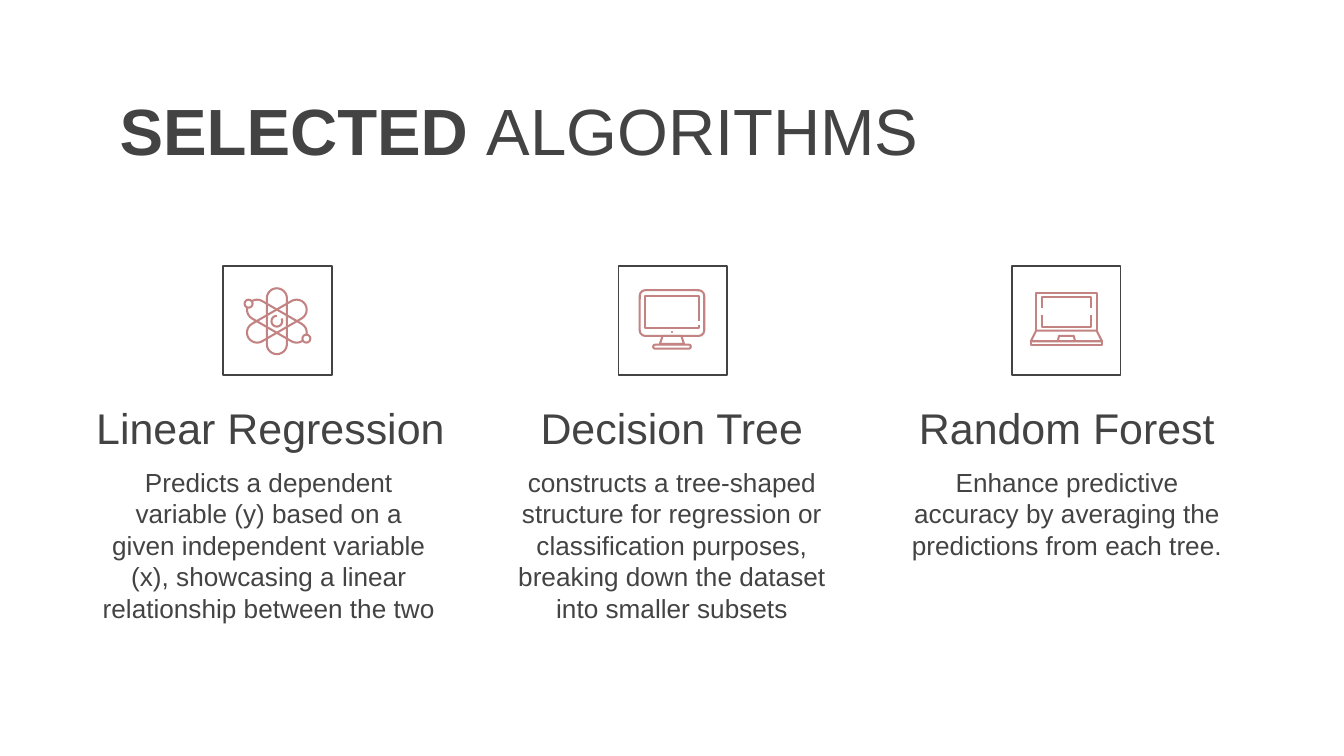
from math import cos, pi, sin
from pptx import Presentation, util as u
from pptx.dml.color import RGBColor
from pptx.enum import shapes, text

INK, ROSE, WHITE = "434343", "C38382", "FFFFFF"
prs = Presentation()
prs.slide_width = u.Inches(10)
prs.slide_height = prs.slide_width * 9 // 16
s = prs.slides.add_slide(prs.slide_layouts[5])


def paint(sp, line, width, fill=None):
    sp.shadow.inherit = False
    sp.line.color.rgb = RGBColor.from_string(line)
    sp.line.width = u.Pt(width)
    if fill:
        sp.fill.solid()
        sp.fill.fore_color.rgb = RGBColor.from_string(fill)
    else:
        sp.fill.background()


def write(sp, box, runs, size, align, anchor=text.MSO_ANCHOR.TOP):
    sp.left, sp.top, sp.width, sp.height = map(u.Inches, box)
    tf = sp.text_frame
    tf.word_wrap, tf.auto_size = True, text.MSO_AUTO_SIZE.NONE
    tf.vertical_anchor = anchor
    tf.margin_left = tf.margin_right = tf.margin_top = tf.margin_bottom = u.Inches(0.1)
    p = tf.paragraphs[0]
    p.alignment = align
    p.font.name, p.font.size = "Arial", u.Pt(size)
    p.font.color.rgb = RGBColor.from_string(INK)
    for words, bold in runs:
        r = p.add_run()
        r.text, r.font.bold = words, bold


write(s.shapes.title, (0.79, 0.57, 8.43, 0.63),
      [("SELECTED ", True), ("ALGORITHMS", False)], 35, text.PP_ALIGN.LEFT)

columns = [
    (1.66, "Linear Regression", 0.6, 2.83, 0.66, 2.68, 1.39,
     "Predicts a dependent variable (y) based on a given independent variable (x), "
     "showcasing a linear relationship between the two "),
    (4.6, "Decision Tree", 3.72, 2.56, 3.72, 2.56, 1.39,
     "constructs a tree-shaped structure for regression or classification purposes, "
     "breaking down the dataset into smaller subsets"),
    (7.53, "Random Forest", 6.66, 2.56, 6.66, 2.56, 0.87,
     "Enhance predictive accuracy by averaging the predictions from each tree."),
]
for tile_x, name, name_x, name_w, body_x, body_w, body_h, body in columns:
    tile = s.shapes.add_shape(shapes.MSO_SHAPE.RECTANGLE, u.Inches(tile_x),
                              u.Inches(1.98), u.Inches(0.81), u.Inches(0.81))
    paint(tile, INK, 0.75)
    write(s.shapes.add_textbox(0, 0, 0, 0), (name_x, 3.02, name_w, 0.45),
          [(name, False)], 23, text.PP_ALIGN.CENTER, text.MSO_ANCHOR.BOTTOM)
    write(s.shapes.add_textbox(0, 0, 0, 0), (body_x, 3.37, body_w, body_h),
          [(body, False)], 14, text.PP_ALIGN.CENTER)

ROUND, OVAL = shapes.MSO_SHAPE.ROUNDED_RECTANGLE, shapes.MSO_SHAPE.OVAL
icon_parts = [
    (ROUND, 2.06, 2.39, 0.15, 0.49, 0, 0.5, None),
    (ROUND, 2.06, 2.39, 0.15, 0.49, 60, 0.5, None),
    (ROUND, 2.06, 2.39, 0.15, 0.49, 120, 0.5, None),
    (OVAL, 1.85, 2.26, 0.06, 0.06, 0, None, WHITE),
    (OVAL, 2.28, 2.52, 0.06, 0.06, 0, None, WHITE),
    (ROUND, 5, 2.33, 0.48, 0.34, 0, 0.12, None),
    (ROUND, 5, 2.58, 0.28, 0.03, 0, 0.5, None),
    (OVAL, 5, 2.47, 0.01, 0.01, 0, None, ROSE),
]
for kind, x, y, w, h, turn, corner, fill in icon_parts:
    sp = s.shapes.add_shape(kind, u.Inches(x - w / 2), u.Inches(y - h / 2),
                            u.Inches(w), u.Inches(h))
    if corner is not None:
        sp.adjustments[0] = corner
    sp.rotation = turn
    paint(sp, ROSE, 0.25 if fill == ROSE else 1.1, fill)

nucleus = [(2.06 + 0.04 * cos(a * pi / 12), 2.39 + 0.04 * sin(a * pi / 12))
           for a in range(-2, 19)]
icon_lines = [
    (nucleus, False),
    ([(5.2, 2.39), (5.2, 2.2), (4.8, 2.2), (4.8, 2.44), (5.2, 2.44), (5.2, 2.42)], False),
    ([(4.93, 2.5), (5.07, 2.5), (5.09, 2.56), (4.91, 2.56)], True),
    ([(7.71, 2.46), (7.71, 2.18), (8.16, 2.18), (8.16, 2.46)], False),
    ([(7.71, 2.46), (8.16, 2.46), (8.2, 2.54), (7.67, 2.54)], True),
    ([(7.67, 2.54), (8.2, 2.54), (8.2, 2.57), (7.67, 2.57)], True),
    ([(7.87, 2.54), (7.88, 2.5), (7.99, 2.5), (8, 2.54)], False),
    ([(7.75, 2.34), (7.75, 2.43), (8.12, 2.43), (8.12, 2.34)], False),
    ([(7.75, 2.29), (7.75, 2.21), (8.12, 2.21), (8.12, 2.29)], False),
]
for points, closed in icon_lines:
    first, *rest = [(u.Inches(x), u.Inches(y)) for x, y in points]
    outline = s.shapes.build_freeform(*first)
    outline.add_line_segments(rest, close=closed)
    paint(outline.convert_to_shape(), ROSE, 1.1)

prs.save("out.pptx")
